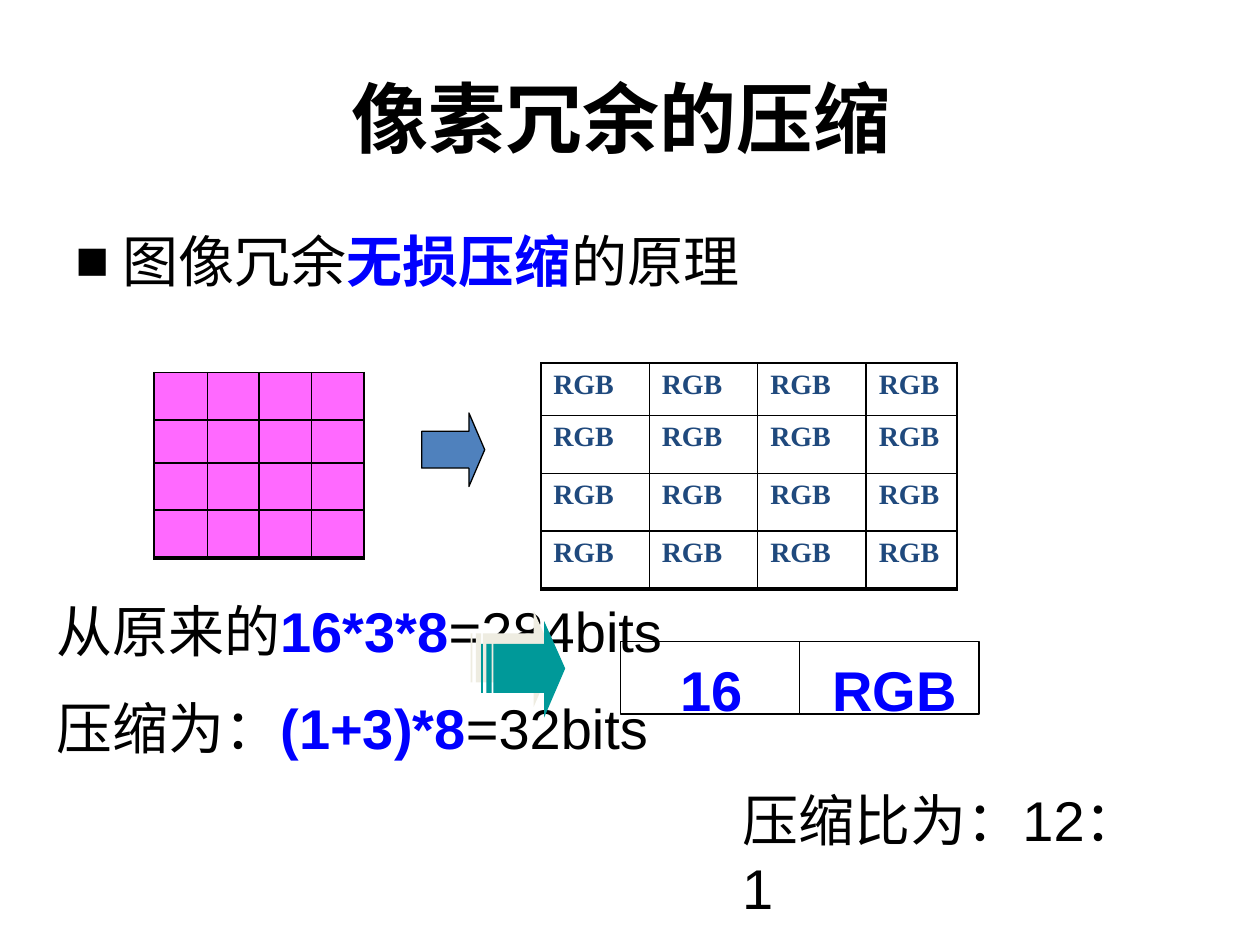
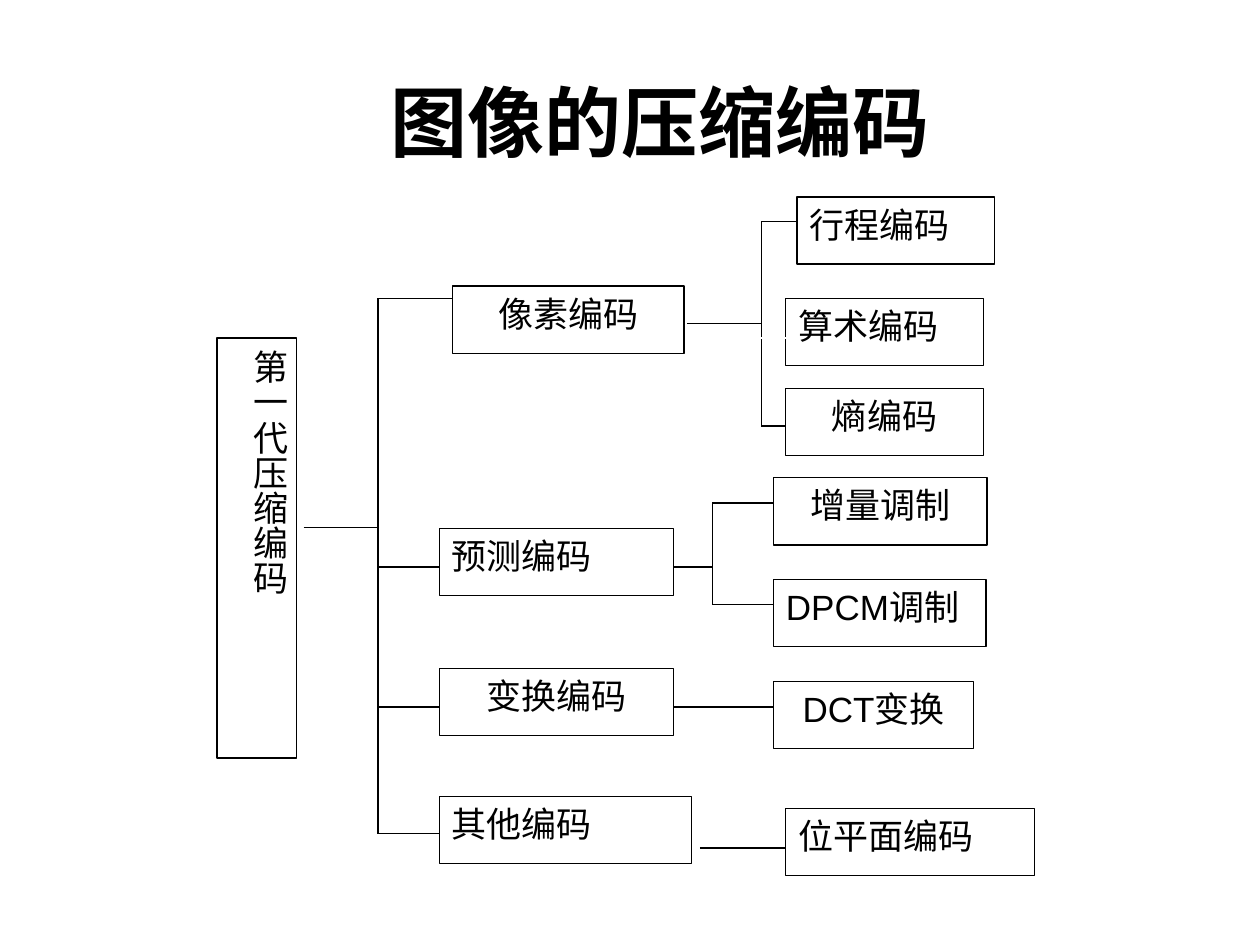
from dataclasses import dataclass
from lxml.etree import SubElement as Sub
from pptx import Presentation
from pptx.dml.color import RGBColor as RGB
from pptx.enum.shapes import MSO_CONNECTOR as Link, MSO_SHAPE as Kind
from pptx.enum.text import MSO_ANCHOR as Anchor, PP_ALIGN as Align
from pptx.oxml.ns import qn
from pptx.util import Pt


@dataclass(frozen=True)
class Theme:
    ink: str = "000000"
    blue: str = "0000FF"
    navy: str = "1F497D"
    steel: str = "4F81BD"
    teal: str = "009999"
    pink: str = "FF69FF"
    shade: str = "EEECE1"
    white: str = "FFFFFF"
    sans: str = "Arial"
    serif: str = "Times New Roman"
    title: int = 44
    body: int = 32
    node: int = 20
    cell: int = 16
    thin: float = 0.75


T = Theme()


def style(run, size, color=T.ink, bold=False, face=T.sans):
    font = run.font
    font.size, font.bold, font.name = Pt(size), bold, face
    font.color.rgb = RGB.from_string(color)


def write(frame, paras, size, align=Align.LEFT, bold=False, gap=0):
    frame.word_wrap = True
    for i, parts in enumerate(paras):
        para = frame.paragraphs[0] if i == 0 else frame.add_paragraph()
        para.alignment = align
        if i:
            para.space_before = Pt(gap)
        for text, color in parts:
            run = para.add_run()
            run.text = text
            style(run, size, color, bold or color == T.blue)


def label(slide, area, paras, size=T.body, **look):
    box = slide.shapes.add_textbox(*map(Pt, area))
    write(box.text_frame, paras, size, **look)
    return box


def title(slide, area, text):
    box = label(slide, area, [[(text, T.ink)]], T.title, align=Align.CENTER, bold=True)
    box.text_frame.vertical_anchor = Anchor.MIDDLE


def bullet(box, mark, indent):
    props = box.text_frame.paragraphs[0]._p.get_or_add_pPr()
    props.set("marL", str(Pt(indent)))
    props.set("indent", str(-Pt(indent)))
    Sub(props, qn("a:buFont"), typeface=T.sans)
    Sub(props, qn("a:buChar"), char=mark)


def block(slide, area, kind=Kind.RECTANGLE, fill=None, width=T.thin):
    shape = slide.shapes.add_shape(kind, *map(Pt, area))
    shape.shadow.inherit = False
    if fill:
        shape.fill.solid()
        shape.fill.fore_color.rgb = RGB.from_string(fill)
    else:
        shape.fill.background()
    shape.line.color.rgb = RGB.from_string(T.ink)
    shape.line.width = Pt(width)
    return shape


def node(slide, text, area, align=Align.LEFT, width=T.thin):
    shape = block(slide, area, width=width)
    frame = shape.text_frame
    frame.vertical_anchor = Anchor.TOP
    write(frame, [[(text, T.ink)]], T.node, align)
    return frame


def line(slide, x1, y1, x2, y2, color=T.ink, width=T.thin):
    link = slide.shapes.add_connector(Link.STRAIGHT, Pt(x1), Pt(y1), Pt(x2), Pt(y2))
    link.line.color.rgb = RGB.from_string(color)
    link.line.width = Pt(width)
    Sub(link._element.spPr, qn("a:effectLst"))


def branch(slide, start, y, bus, tips):
    line(slide, start, y, bus, y)
    line(slide, bus, tips[0][1], bus, tips[-1][1])
    for x, level in tips:
        line(slide, bus, level, x, level)


def edge(cell, last):
    props = cell._tc.get_or_add_tcPr()
    for i, side in enumerate("LRTB"):
        width = 2.25 if last and side == "B" else 1
        rule = Sub(props, qn("a:ln" + side), w=str(Pt(width)))
        Sub(Sub(rule, qn("a:solidFill")), qn("a:srgbClr"), val=T.ink)
        props.insert(i, rule)


def grid(slide, left, top, cols, rows, text="", fill=None):
    area = (left, top, sum(cols), sum(rows))
    table = slide.shapes.add_table(len(rows), len(cols), *map(Pt, area)).table
    table.first_row = table.horz_banding = False
    for col, width in zip(table.columns, cols):
        col.width = Pt(width)
    for r, (row, height) in enumerate(zip(table.rows, rows)):
        row.height = Pt(height)
        for cell in row.cells:
            if fill:
                cell.fill.solid()
                cell.fill.fore_color.rgb = RGB.from_string(fill)
            else:
                cell.fill.background()
            if text:
                cell.text_frame.text = text
                style(cell.text_frame.paragraphs[0].runs[0], T.cell, T.navy, True, T.serif)
            else:
                cell.margin_top = cell.margin_bottom = 0
            edge(cell, r == len(rows) - 1)


def striped(slide):
    top, low = 368.5, 396
    head = [(311, 355), (311, top), (282, top), (282, low), (311, low), (311, 409.5), (323, 382.25)]
    bars = [[(x, top), (x, low), (x + w, low), (x + w, top)] for x, w in ((278, 3), (275, 1.5))]
    pen = slide.shapes.build_freeform(*head[0], scale=float(Pt(1)))
    pen.add_line_segments(head[1:], close=True)
    for bar in bars:
        pen.move_to(*bar[0])
        pen.add_line_segments(bar[1:], close=True)
    shape = pen.convert_to_shape()
    shape.fill.solid()
    shape.fill.fore_color.rgb = RGB.from_string(T.teal)
    shape.line.fill.background()
    shape.shadow.inherit = False
    effects = shape._element.spPr.find(qn("a:effectLst"))
    shade = Sub(effects, qn("a:outerShdw"), dist=str(Pt(8.5)), dir=str(225 * 60000),
                algn="ctr", rotWithShape="0")
    Sub(shade, qn("a:srgbClr"), val=T.shade)


def pixels(slide):
    label(slide, (25, 337.5, 363, 181.5), [
        [("从原来的", T.ink), ("16*3*8", T.blue), ("=284bits", T.ink)],
        [("压缩为：", T.ink), ("(1+3)*8", T.blue), ("=32bits", T.ink)],
    ], gap=17)
    title(slide, (36, 21.5, 648, 90), "像素冗余的压缩 ")
    lead = label(slide, (36, 126, 648, 356.5), [
        [("图像冗余", T.ink), ("无损压缩", T.blue), ("的原理", T.ink)]])
    bullet(lead, "■", 27)
    grid(slide, 88, 213, (30.5, 29.5, 30, 30), (27, 24.5, 27, 27.5), fill=T.pink)
    grid(slide, 309, 207.5, (62, 62, 62, 52), (30, 33, 33, 33), text="RGB")
    striped(slide)
    for x in (354.5, 457):
        block(slide, (x, 366.5, 102.5, 41.5))
    label(slide, (377, 371, 59, 46), [[("16", T.blue)]], align=Align.CENTER)
    label(slide, (468.5, 371, 96, 46), [[("RGB", T.blue)]])
    arrow = block(slide, (241, 236, 36, 42), Kind.RIGHT_ARROW, T.steel)
    arrow.adjustments[1] = 0.25
    label(slide, (417, 445.5, 257, 46), [[("压缩比为：12：1", T.ink)]])


def coding(slide):
    title(slide, (125, 34, 505, 70), "图像的压缩编码")
    mid, left = Align.CENTER, Align.LEFT
    for text, x, y, width, align in (
        ("像素编码", 258.5, 163.5, 132.5, mid),
        ("预测编码", 251, 302, 134, left),
        ("变换编码", 251, 382, 134, mid),
        ("其他编码", 251, 455, 144, left),
        ("行程编码", 455.5, 112.5, 113, left),
        ("算术编码", 449, 170.5, 113, left),
        ("熵编码", 449, 222, 113, mid),
        ("增量调制", 442, 273, 122, mid),
        ("DPCM调制", 442, 331, 121.5, left),
        ("DCT变换", 442, 389.5, 114.5, mid),
        ("位平面编码", 449, 462, 142, left),
    ):
        node(slide, text, (x, y, width, 38.4), align)
    root = node(slide, "第一代压缩编码", (124, 193, 45.5, 240), width=1)
    root._txBody.bodyPr.set("vert", "eaVert")
    branch(slide, 173.5, 301.5, 216, [(258.5, 170.5), (251, 324), (251, 404), (251, 476.5)])
    branch(slide, 392.5, 185, 435, [(455.5, 126.5), (449, 243.5)])
    branch(slide, 385, 324, 407, [(442, 287.5), (442, 345.5)])
    line(slide, 385, 404, 442, 404)
    line(slide, 400, 484.5, 449, 484.5)
    line(slide, 435, 193, 449, 193, T.white, 1)


def main():
    deck = Presentation()
    deck.slide_width, deck.slide_height = Pt(720), Pt(540)
    for build in (pixels, coding):
        build(deck.slides.add_slide(deck.slide_layouts[6]))
    deck.save("out.pptx")


if __name__ == "__main__":
    main()
